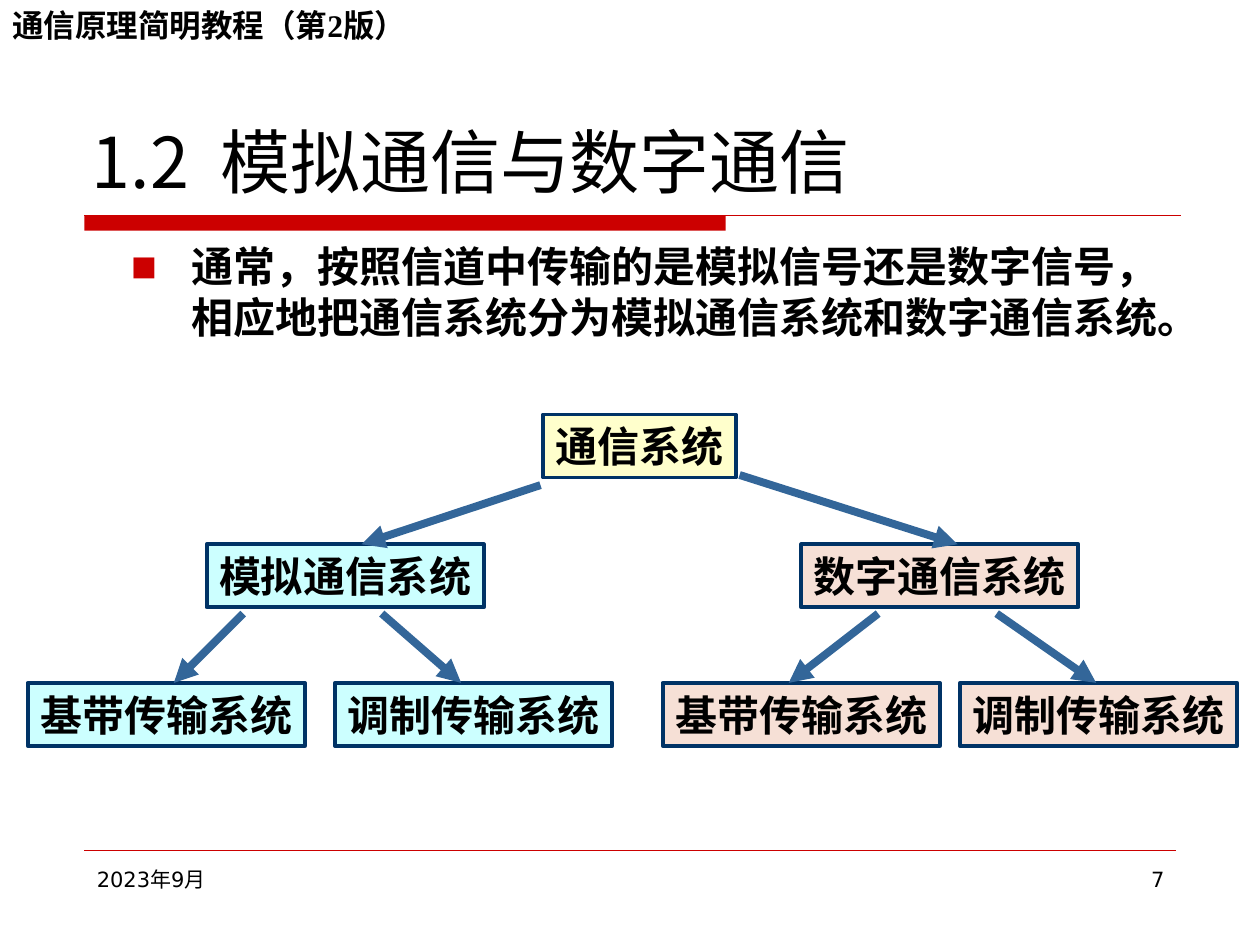
"""Build the slide on analogue and digital communication systems."""
from dataclasses import dataclass
from typing import Any

from lxml.etree import SubElement
from pptx import Presentation
from pptx.dml.color import RGBColor
from pptx.enum.shapes import MSO_CONNECTOR as CONN, MSO_SHAPE as SHAPE
from pptx.enum.text import MSO_ANCHOR as ANCHOR, MSO_AUTO_SIZE as AUTO, PP_ALIGN as ALIGN
from pptx.oxml.ns import qn
from pptx.util import Inches, Pt

COLORS = {
    "text": "000000", "accent": "CC0000", "border": "003366", "arrow": "336699",
    "root": "FFFFCC", "analog": "CCFFFF", "digital": "F6E0D6",
}
SANS, SERIF, CJK = "DejaVu Sans", "Times New Roman", "Noto Sans CJK JP"
BOX_H, MID_Y, LEAF_Y = 0.5, 4.32, 5.42


@dataclass
class Box:
    text: str
    x: float
    y: float
    fill: str
    w: float = 2.2


@dataclass
class Line:
    x1: float
    y1: float
    x2: float
    y2: float
    color: str = "arrow"
    width: float = 4.5
    arrow: bool = True


@dataclass
class Label:
    text: str
    x: float
    y: float
    w: float
    h: float
    fmt: dict[str, Any]
    align: Any = ALIGN.LEFT


BOXES = [
    Box("通信系统", 4.31, 3.29, "root", 1.53),
    Box("模拟通信系统", 1.64, MID_Y, "analog"),
    Box("数字通信系统", 6.36, MID_Y, "digital"),
    Box("基带传输系统", 0.22, LEAF_Y, "analog"),
    Box("调制传输系统", 2.66, LEAF_Y, "analog"),
    Box("基带传输系统", 5.26, LEAF_Y, "digital"),
    Box("调制传输系统", 7.62, LEAF_Y, "digital"),
]
LINES = [
    Line(0.67, 6.75, 9.33, 6.75, "accent", 0.25, False),
    Line(4.29, 3.85, 2.87, MID_Y),
    Line(5.87, 3.77, 7.6, MID_Y),
    *(Line(x1, 4.87, x2, LEAF_Y)
      for x1, x2 in ((1.93, 1.38), (3.03, 3.66), (6.97, 6.26), (7.91, 8.7))),
]
FOOTER = {"name": SANS, "size": Pt(12)}
LABELS = [
    Label("通信原理简明教程（第2版）", 0, 0, 4.37, 0.4,
          {"name": SERIF, "size": Pt(18), "bold": True}),
    Label("2023年9月", 0.67, 6.83, 2.17, 0.52, FOOTER),
    Label("7", 7.17, 6.83, 2.17, 0.52, FOOTER, ALIGN.RIGHT),
]


def rgb(name: str) -> RGBColor:
    return RGBColor.from_string(COLORS[name])


def place(sp: Any, x: float, y: float, w: float, h: float) -> None:
    for key, value in {"left": x, "top": y, "width": w, "height": h}.items():
        setattr(sp, key, Inches(value))


def write(sp: Any, text: str, fmt: dict[str, Any], align: Any = ALIGN.LEFT,
          anchor: Any = ANCHOR.TOP, wrap: bool = True) -> Any:
    tf = sp.text_frame
    for key, value in {"word_wrap": wrap, "auto_size": AUTO.NONE,
                       "vertical_anchor": anchor}.items():
        setattr(tf, key, value)
    p = tf.paragraphs[0]
    p.alignment = align
    r = p.add_run()
    r.text = text
    for key, value in fmt.items():
        setattr(r.font, key, value)
    r.font.color.rgb = rgb("text")
    return p


def add_bullet(p: Any, margin: float, indent: float) -> None:
    pPr = p._p.get_or_add_pPr()
    pPr.set("marL", str(Inches(margin)))
    pPr.set("indent", str(Inches(indent)))
    color = SubElement(pPr, qn("a:buClr"))
    SubElement(color, qn("a:srgbClr"), val=COLORS["accent"])
    SubElement(pPr, qn("a:buSzPct"), val="65000")
    SubElement(pPr, qn("a:buFont"), typeface=SANS)
    SubElement(pPr, qn("a:buChar"), char="■")


def add_box(s: Any, box: Box) -> None:
    sp = s.shapes.add_shape(SHAPE.RECTANGLE, Inches(box.x), Inches(box.y),
                            Inches(box.w), Inches(BOX_H))
    sp.shadow.inherit = False
    sp.fill.solid()
    sp.fill.fore_color.rgb = rgb(box.fill)
    sp.line.color.rgb = rgb("border")
    sp.line.width = Pt(2.25)
    write(sp, box.text, {"name": SANS, "size": Pt(24), "bold": True}, wrap=False)


def add_line(s: Any, line: Line) -> None:
    cn = s.shapes.add_connector(CONN.STRAIGHT, Inches(line.x1), Inches(line.y1),
                                Inches(line.x2), Inches(line.y2))
    cn.line.color.rgb = rgb(line.color)
    cn.line.width = Pt(line.width)
    if line.arrow:
        SubElement(cn.line._get_or_add_ln(), qn("a:tailEnd"), type="triangle")
    SubElement(cn._element.spPr, qn("a:effectLst"))


def add_label(s: Any, label: Label) -> None:
    sp = s.shapes.add_textbox(Inches(label.x), Inches(label.y),
                              Inches(label.w), Inches(label.h))
    write(sp, label.text, label.fmt, label.align)


def add_title_rule(s: Any) -> None:
    bar = s.shapes.add_shape(SHAPE.RECTANGLE, Inches(0.67), Inches(1.71),
                             Inches(5.09), Inches(0.12))
    bar.shadow.inherit = False
    bar.fill.solid()
    bar.fill.fore_color.rgb = rgb("accent")
    bar.line.fill.background()
    add_line(s, Line(0.67, 1.71, 9.37, 1.71, "accent", 0.75, False))


def main() -> None:
    prs = Presentation()
    prs.slide_width, prs.slide_height = Inches(10), Inches(7.5)
    s = prs.slides.add_slide(prs.slide_layouts[1])
    title, body = s.placeholders
    place(title, 0.63, 0.33, 8.75, 1.33)
    write(title, "1.2  模拟通信与数字通信", {"name": CJK, "size": Pt(40)},
          anchor=ANCHOR.BOTTOM)
    place(body, 0.43, 1.86, 8.98, 5.16)
    p = write(body, "通常，按照信道中传输的是模拟信号还是数字信号，"
              "相应地把通信系统分为模拟通信系统和数字通信系统。",
              {"name": SERIF, "size": Pt(24), "bold": True})
    p.space_before = Pt(6)
    add_bullet(p, 0.99, -0.48)
    add_title_rule(s)
    for label in LABELS:
        add_label(s, label)
    for box in BOXES:
        add_box(s, box)
    for line in LINES:
        add_line(s, line)
    prs.save("out.pptx")


if __name__ == "__main__":
    main()
